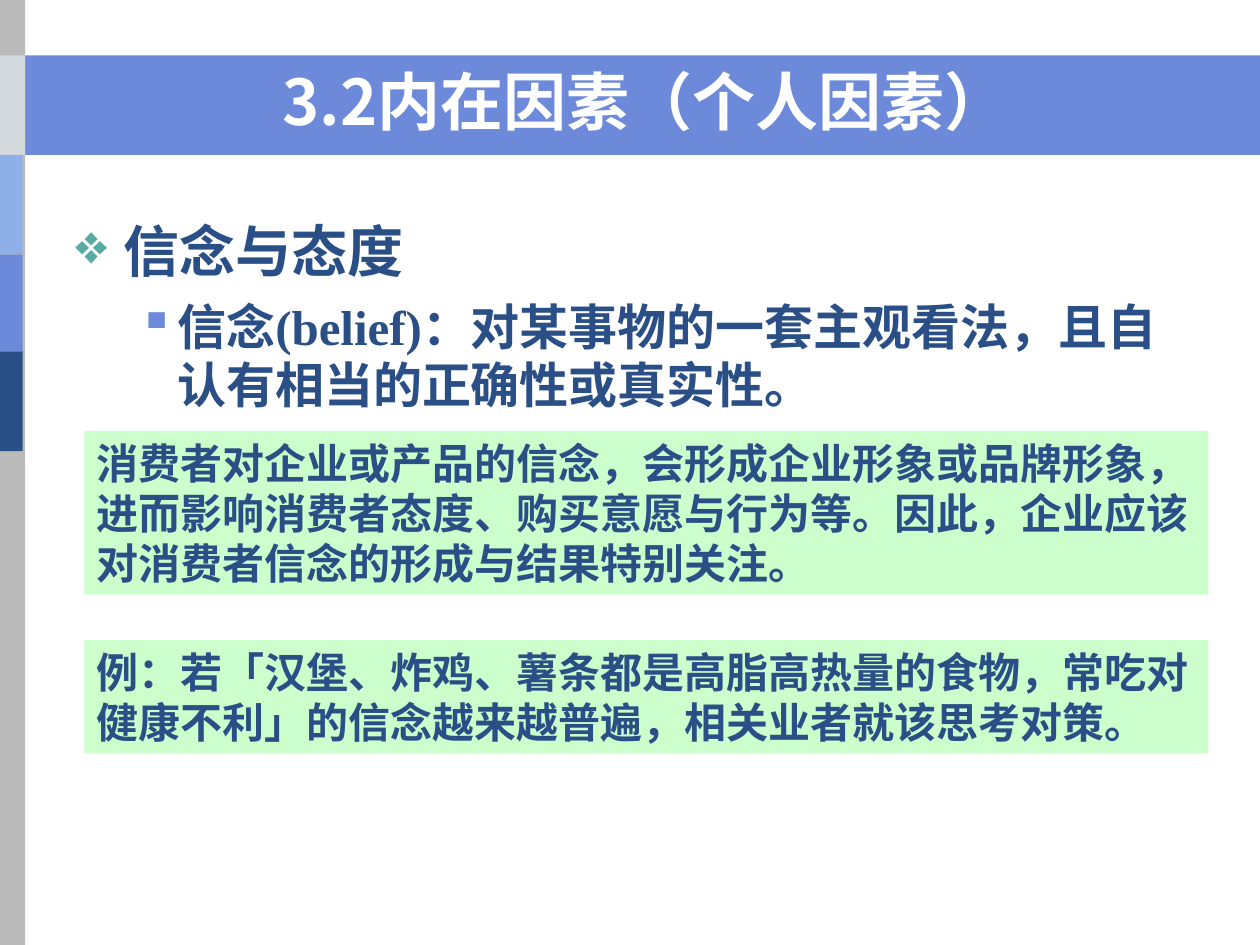
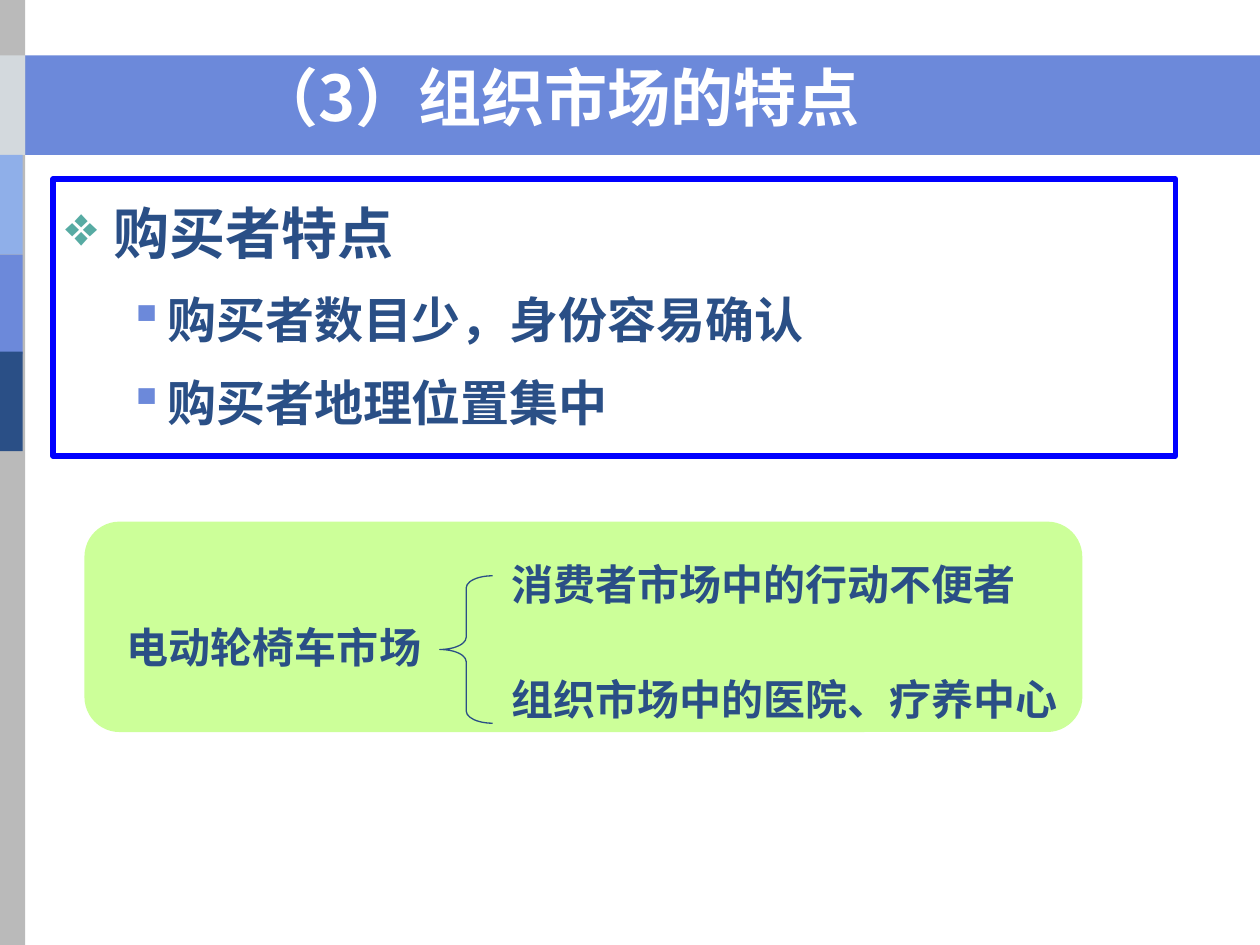
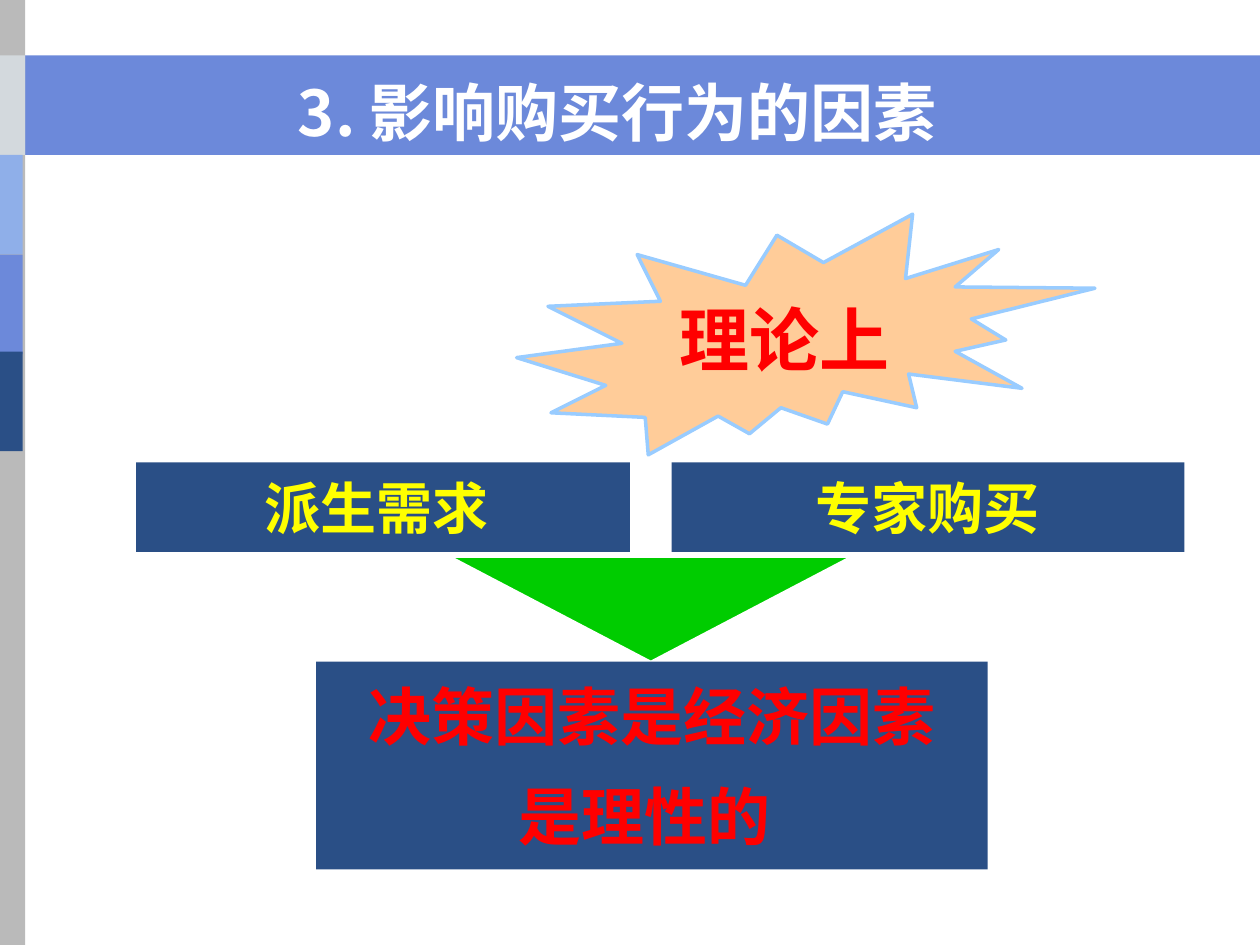
import pptx
import pptx.util
import pptx.dml.color
import pptx.enum.shapes
import pptx.enum.text
import pptx.oxml.ns
from lxml import etree

Inches = pptx.util.Inches
Pt = pptx.util.Pt
SHAPE = pptx.enum.shapes.MSO_SHAPE
ALIGN = pptx.enum.text.PP_ALIGN
ANCHOR = pptx.enum.text.MSO_ANCHOR
qn = pptx.oxml.ns.qn

NAVY, BLUE, TEAL, WHITE = "2A4F86", "6C89DA", "57ABA3", "FFFFFF"
MINT, LIME, RED, YELLOW = "CCFFCC", "CCFF99", "FF0000", "FFFF00"
SANS = "Noto Sans CJK SC"
SANS_JP = "Noto Sans CJK JP"
SERIF = "Times New Roman"
LINE_PITCH = 1.2  # line height as a multiple of the text size

# Bands on every slide: left, top, width, height, colour
BAND_HEIGHT = 0.79
BANDS = [
    (0, 0.44, 10, BAND_HEIGHT, BLUE),
    (-0.01, 0, 0.21, 7.5, "BABABA"),
    (0, 0.44, 0.2, BAND_HEIGHT, "D3D9DD"),
    (-0.02, 1.23, 0.2, BAND_HEIGHT, "8FAFE9"),
    (-0.02, 2.02, 0.2, BAND_HEIGHT, BLUE),
    (-0.02, 2.79, 0.2, BAND_HEIGHT, NAVY),
]

# Outline levels: size, space before, left margin, hanging indent, bullet, bullet colour
LEVELS = [
    (32, 8, 0.38, -0.38, "❖", TEAL),
    (28, 7, 0.81, -0.31, "▪", BLUE),
]

# Outline paragraphs: level, runs of (text, font)
BELIEF_OUTLINE = [
    (0, [("信念与态度", "Arial")]),
    (1, [("信念", "Arial"), ("(belief)", SERIF),
         ("：对某事物的一套主观看法，且自认有相当的正确性或真实性。", "Arial")]),
]
BUYER_OUTLINE = [
    (0, [("购买者特点", "Calibri")]),
    (1, [("购买者数目少，身份容易确认", "Calibri")]),
    (1, [("购买者地理位置集中", "Calibri")]),
]
BELIEF_NOTES = [
    (3.42, 1.3, "消费者对企业或产品的信念，会形成企业形象或品牌形象，进而影响消费者态度、"
                "购买意愿与行为等。因此，企业应该对消费者信念的形成与结果特别关注。"),
    (5.08, 0.9, "例：若「汉堡、炸鸡、薯条都是高脂高热量的食物，常吃对健康不利」的信念"
                "越来越普遍，相关业者就该思考对策。"),
]
WHEELCHAIR_MARKET = [
    ((0.91, 4.88, 2.53, 0.5), "电动轮椅车市场"),
    ((3.96, 4.38, 4.2, 0.5), "消费者市场中的行动不便者"),
    ((3.96, 5.3, 4.53, 0.5), "组织市场中的医院、疗养中心"),
]
DEMAND_CAUSES = [
    ((1.08, 3.67, 3.92, 0.71), "派生需求 "),
    ((5.33, 3.67, 4.07, 0.71), "专家购买"),
]
DECISION = ["决策因素是经济因素", "是理性的 "]


def rgb(value):
    return pptx.dml.color.RGBColor.from_string(value)


def add_box(slide, kind, place, fill=None, line=None, line_width=1):
    shape = slide.shapes.add_shape(kind, *[Inches(n) for n in place])
    shape.shadow.inherit = False
    if fill:
        shape.fill.solid()
        shape.fill.fore_color.rgb = rgb(fill)
    else:
        shape.fill.background()
    if line:
        shape.line.color.rgb = rgb(line)
        shape.line.width = Pt(line_width)
    else:
        shape.line.fill.background()
    return shape


def add_textbox(slide, place):
    return slide.shapes.add_textbox(*[Inches(n) for n in place])


def add_run(paragraph, text, size, font, color):
    run = paragraph.add_run()
    run.text = text
    run.font.size = Pt(size)
    run.font.bold = True
    run.font.name = font
    run.font.color.rgb = rgb(color)
    east_asian = font if font.startswith("Noto") else SANS
    etree.SubElement(run.font._element, qn("a:ea"), typeface=east_asian)


def prepare_frame(shape, inset=(0.1, 0.05), anchor=ANCHOR.TOP, wrap=True):
    frame = shape.text_frame
    frame.word_wrap = wrap
    frame.vertical_anchor = anchor
    frame.margin_left = frame.margin_right = Inches(inset[0])
    frame.margin_top = frame.margin_bottom = Inches(inset[1])
    return frame


def next_paragraph(frame, index, size, before, spacing=1):
    paragraph = frame.add_paragraph() if index else frame.paragraphs[0]
    paragraph.line_spacing = Pt(round(size * LINE_PITCH * spacing, 1))
    paragraph.space_before = Pt(before if index else 0)
    return paragraph


def write(shape, *lines, size=24, font=SANS, color=NAVY, align=ALIGN.CENTER,
          before=0, **frame_format):
    frame = prepare_frame(shape, **frame_format)
    for index, text in enumerate(lines):
        paragraph = next_paragraph(frame, index, size, before)
        paragraph.alignment = align
        add_run(paragraph, text, size, font, color)


def write_outline(shape, outline, spacing=1):
    frame = prepare_frame(shape)
    for index, (level, runs) in enumerate(outline):
        size, before, margin, indent, bullet, bullet_color = LEVELS[level]
        paragraph = next_paragraph(frame, index, size, before, spacing)
        paragraph.alignment = ALIGN.LEFT
        paragraph.level = level
        properties = paragraph._p.get_or_add_pPr()
        properties.set("marL", str(Inches(margin)))
        properties.set("indent", str(Inches(indent)))
        tint = etree.SubElement(properties, qn("a:buClr"))
        etree.SubElement(tint, qn("a:srgbClr"), val=bullet_color)
        etree.SubElement(properties, qn("a:buChar"), char=bullet)
        for text, font in runs:
            add_run(paragraph, text, size, font, NAVY)


def add_banded_slide(deck, title, title_place):
    slide = deck.slides.add_slide(deck.slide_layouts[6])
    for *place, color in BANDS:
        add_box(slide, SHAPE.RECTANGLE, place, fill=color)
    write(add_textbox(slide, title_place), title, size=36, color=WHITE,
          anchor=ANCHOR.MIDDLE)
    return slide


def build_belief_slide(deck):
    slide = add_banded_slide(deck, "3.2内在因素（个人因素）", (0.58, 0.17, 9.08, 1.25))
    write_outline(add_textbox(slide, (0.5, 1.67, 9, 1.67)), BELIEF_OUTLINE)
    for top, height, text in BELIEF_NOTES:
        note = add_box(slide, SHAPE.RECTANGLE, (0.67, top, 8.92, height), fill=MINT)
        write(note, text, align=ALIGN.LEFT)


def build_market_slide(deck):
    slide = add_banded_slide(deck, "（3）组织市场的特点", (1.67, 0.33, 5.51, 0.87))
    buyers = add_box(slide, SHAPE.RECTANGLE, (0.42, 1.42, 8.91, 2.2),
                     line="0000FF", line_width=3)
    write_outline(buyers, BUYER_OUTLINE, spacing=1.2)
    add_box(slide, SHAPE.ROUNDED_RECTANGLE, (0.67, 4.14, 7.92, 1.67), fill=LIME)
    for place, text in WHEELCHAIR_MARKET:
        write(add_textbox(slide, place), text, wrap=False)
    brace = add_box(slide, SHAPE.LEFT_BRACE, (3.49, 4.57, 0.42, 1.17),
                    line=NAVY, line_width=0.75)
    brace.adjustments[0] = 0.23


def build_factors_slide(deck):
    slide = add_banded_slide(deck, "3. 影响购买行为的因素", (1.33, 0.53, 7.14, 0.71))
    for place, text in DEMAND_CAUSES:
        cause = add_box(slide, SHAPE.RECTANGLE, place, fill=NAVY)
        write(cause, text, size=32, font=SANS_JP, color=YELLOW, inset=(0.1, 0.09))
    funnel = add_box(slide, SHAPE.ISOSCELES_TRIANGLE, (3.58, 4.42, 3.17, 0.83),
                     fill="00CC00", line=WHITE)
    funnel.rotation = 180
    decision = add_box(slide, SHAPE.RECTANGLE, (2.51, 5.25, 5.33, 1.65), fill=NAVY)
    write(decision, *DECISION, size=36, color=RED, before=13.5,
          inset=(0.41, 0.13), wrap=False)
    theory = add_box(slide, SHAPE.EXPLOSION2, (4.1, 1.7, 4.59, 1.91),
                     fill="FFCC99", line="99CCFF", line_width=2)
    write(theory, "理论上", size=40, font=SERIF, color=RED,
          anchor=ANCHOR.MIDDLE, wrap=False)


def main():
    deck = pptx.Presentation()
    deck.slide_width, deck.slide_height = Inches(10), Inches(7.5)
    build_belief_slide(deck)
    build_market_slide(deck)
    build_factors_slide(deck)
    deck.save("out.pptx")


if __name__ == "__main__":
    main()
